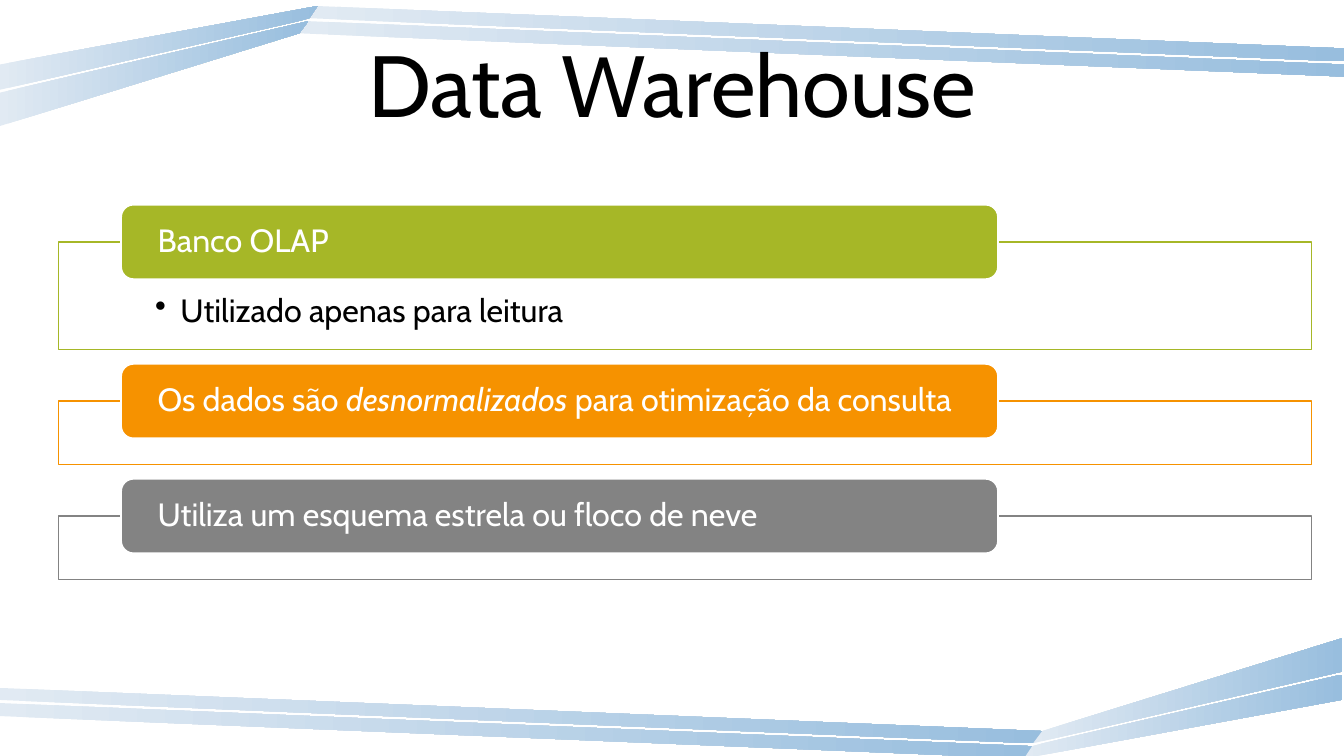
from lxml.etree import SubElement
from pptx import Presentation
from pptx.dml.color import RGBColor
from pptx.enum.shapes import MSO_SHAPE as SHAPE
from pptx.enum.text import MSO_ANCHOR as ANCHOR, PP_ALIGN as ALIGN
from pptx.oxml.ns import qn
from pptx.util import Pt

BLACK = RGBColor(0x00, 0x00, 0x00)
WHITE = RGBColor(0xFF, 0xFF, 0xFF)
GREEN = RGBColor(0xA6, 0xB7, 0x27)
ORANGE = RGBColor(0xF6, 0x92, 0x00)
GRAY = RGBColor(0x83, 0x83, 0x83)
PALE_BLUE = RGBColor(0xE1, 0xEA, 0xF3)
BLUE = RGBColor(0x98, 0xBE, 0xDE)

FONT = "Cabin"
TITLE = "Data Warehouse"
CARDS = [
    (GREEN, [("Banco OLAP", False)], "Utilizado apenas para leitura"),
    (ORANGE, [("Os dados são ", False), ("desnormalizados", True),
              (" para otimização da consulta", False)], None),
    (GRAY, [("Utiliza um esquema estrela ou floco de neve", False)], None),
]

RIBBONS = [
    [(220.3, 15.1), (213.8, 23.8), (960, 54.7), (960, 46.1)],
    [(960, 43.9), (960, 34.6), (226.8, 4.3), (221, 13)],
    [(220.3, 15.1), (0, 66.2), (0, 90), (213.8, 23.8)],
    [(226.8, 4.3), (0, 46.1), (0, 64.1), (213.1, 15.1), (221, 13)],
]
TURN_X, TURN_Y = 958.3, 546

FRAME_X, FRAME_W = 41.8, 895
LABEL_X, LABEL_W, LABEL_H = 86.5, 626.4, 53.2
CARDS_TOP, CARD_GAP = 146.2, 10.1
FRAME_H, DETAIL_FRAME_H = 45.4, 77
TEXT_SIZE, TITLE_SIZE = 23, 62


def add_ribbon(shapes, points):
    start, *rest = [(Pt(x), Pt(y)) for x, y in points]
    builder = shapes.build_freeform(*start)
    builder.add_line_segments(rest)
    s = builder.convert_to_shape()
    s.shadow.inherit = False
    s.line.fill.background()
    s.fill.gradient()
    s.fill.gradient_angle = 0
    for stop, color in zip(s.fill.gradient_stops, (PALE_BLUE, BLUE)):
        stop.color.rgb = color


def add_box(shapes, kind, x, y, w, h, fill, line):
    s = shapes.add_shape(kind, Pt(x), Pt(y), Pt(w), Pt(h))
    s.shadow.inherit = False
    s.fill.solid()
    s.fill.fore_color.rgb = fill
    s.line.color.rgb = line
    s.line.width = Pt(1.25)
    return s


def write(s, runs, size, color, anchor, align=ALIGN.LEFT, inset=(7.2, 3.6)):
    tf = s.text_frame
    tf.word_wrap = True
    tf.vertical_anchor = anchor
    tf.margin_left = tf.margin_right = Pt(inset[0])
    tf.margin_top, tf.margin_bottom = Pt(inset[1]), Pt(0)
    p = tf.paragraphs[0]
    p.alignment = align
    p.line_spacing = 0.9
    for text, italic in runs:
        r = p.add_run()
        r.text = text
        r.font.name = FONT
        r.font.size = Pt(size)
        r.font.italic = italic
        r.font.color.rgb = color
    return p


def add_bullet(p):
    props = p._p.get_or_add_pPr()
    props.set("marL", str(Pt(18)))
    props.set("indent", str(-Pt(18)))
    SubElement(props, qn("a:buChar")).set("char", "•")


def main():
    prs = Presentation()
    prs.slide_width, prs.slide_height = Pt(960), Pt(540)
    shapes = prs.slides.add_slide(prs.slide_layouts[6]).shapes

    for points in RIBBONS:
        add_ribbon(shapes, points)
        add_ribbon(shapes, [(TURN_X - x, TURN_Y - y) for x, y in points])

    title = shapes.add_textbox(Pt(178.6), Pt(28.8), Pt(603.4), Pt(67))
    write(title, [(TITLE, False)], TITLE_SIZE, BLACK, ANCHOR.MIDDLE, ALIGN.CENTER)

    top = CARDS_TOP
    for color, heading, detail in CARDS:
        frame_top = top + LABEL_H / 2
        frame_h = DETAIL_FRAME_H if detail else FRAME_H
        frame = add_box(shapes, SHAPE.RECTANGLE, FRAME_X, frame_top,
                        FRAME_W, frame_h, WHITE, color)
        if detail:
            add_bullet(write(frame, [(detail, False)], TEXT_SIZE, BLACK,
                             ANCHOR.TOP, inset=(69.1, 37.4)))
        label = add_box(shapes, SHAPE.ROUNDED_RECTANGLE, LABEL_X, top,
                        LABEL_W, LABEL_H, color, WHITE)
        write(label, heading, TEXT_SIZE, WHITE, ANCHOR.MIDDLE, inset=(23.5, 0))
        top = frame_top + frame_h + CARD_GAP

    prs.save("out.pptx")


if __name__ == "__main__":
    main()
